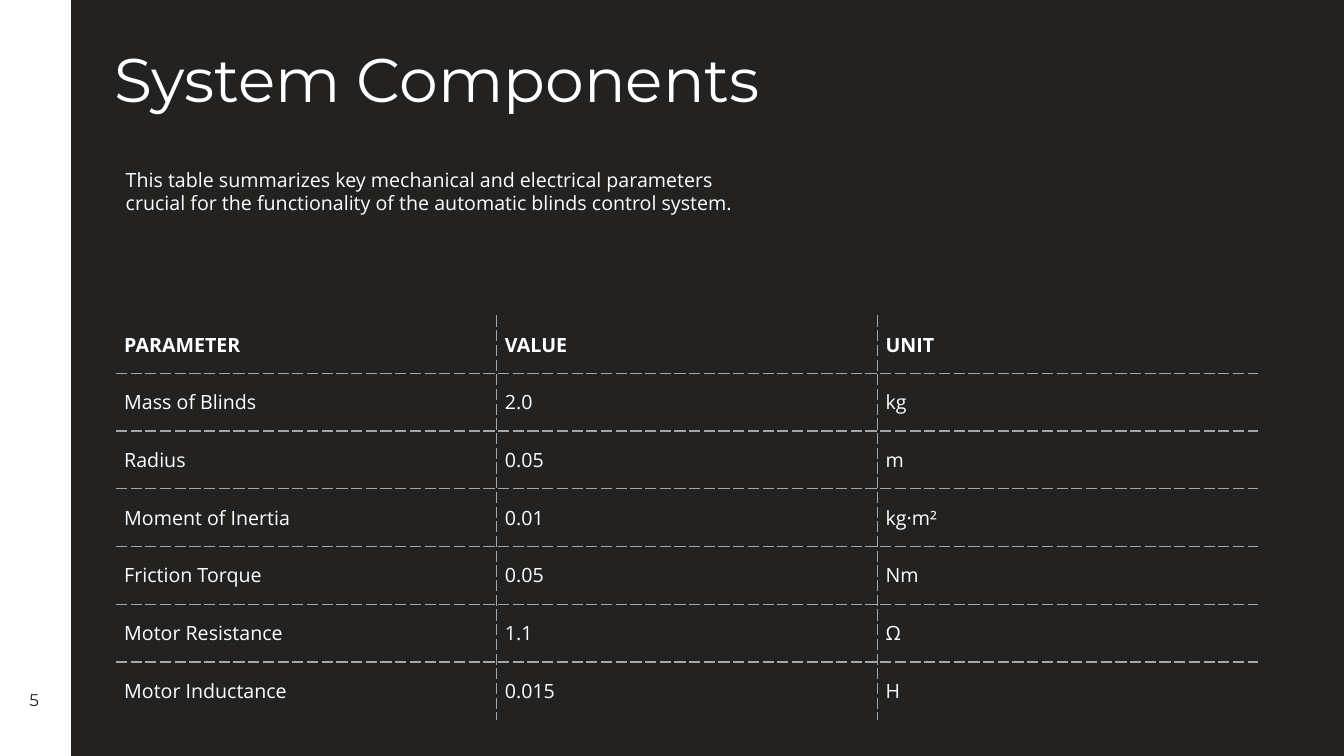
from lxml.etree import SubElement
from pptx import Presentation
from pptx.dml.color import RGBColor
from pptx.enum.shapes import MSO_CONNECTOR, MSO_SHAPE
from pptx.enum.text import MSO_ANCHOR, MSO_AUTO_SIZE, PP_ALIGN
from pptx.oxml import parse_xml
from pptx.oxml.ns import nsdecls, qn
from pptx.util import Cm, Pt

COLORS = {"background": "232220", "white": "FFFFFF", "border": "A6A6A6"}
PARAMETERS = [
    ("PARAMETER", "VALUE", "UNIT"),
    ("Mass of Blinds", "2.0", "kg"),
    ("Radius", "0.05", "m"),
    ("Moment of Inertia", "0.01", "kg·m²"),
    ("Friction Torque", "0.05", "Nm"),
    ("Motor Resistance", "1.1", "Ω"),
    ("Motor Inductance", "0.015", "H"),
]


def write(text_frame, text, size, font_name, color="white", bold=False, align=PP_ALIGN.LEFT):
    paragraph = text_frame.paragraphs[0]
    paragraph.alignment = align
    run = paragraph.add_run()
    run.text = text
    run.font.size = Pt(size)
    run.font.name = font_name
    run.font.bold = bold
    run.font.color.rgb = RGBColor.from_string(COLORS[color])


def add_borders(cell, visible_sides):
    properties = cell._tc.get_or_add_tcPr()
    for position, side in enumerate("LRTB"):
        if side in visible_sides:
            content = (f'<a:solidFill><a:srgbClr val="{COLORS["border"]}"/></a:solidFill>'
                       '<a:prstDash val="sysDash"/>')
        else:
            content = "<a:noFill/>"
        border = parse_xml(f'<a:ln{side} {nsdecls("a")} w="{Pt(1)}">{content}</a:ln{side}>')
        properties.insert(position, border)


presentation = Presentation()
presentation.slide_width = Cm(33.87)
presentation.slide_height = Cm(19.05)
slide = presentation.slides.add_slide(presentation.slide_layouts[5])
slide.background.fill.solid()
slide.background.fill.fore_color.rgb = RGBColor.from_string(COLORS["background"])

side_band = slide.shapes.add_shape(MSO_SHAPE.RECTANGLE, 0, 0, Cm(1.76), Cm(19.05))
side_band.shadow.inherit = False
side_band.fill.solid()
side_band.fill.fore_color.rgb = RGBColor.from_string(COLORS["white"])
side_band.line.fill.background()

band_edge = slide.shapes.add_connector(MSO_CONNECTOR.STRAIGHT, Cm(1.76), 0, Cm(1.76), Cm(19.05))
band_edge.line.color.rgb = RGBColor.from_string(COLORS["white"])
band_edge.line.width = Pt(1.5)
SubElement(band_edge._element.spPr, qn("a:effectLst"))

title = slide.shapes.title
title.left, title.top, title.width, title.height = Cm(2.62), Cm(0.84), Cm(28.6), Cm(2.36)
title.text_frame.auto_size = MSO_AUTO_SIZE.NONE
title.text_frame.vertical_anchor = MSO_ANCHOR.TOP
title.text_frame.margin_top = Cm(0.2)
write(title.text_frame, "System Components", 44, "Montserrat")

description = slide.shapes.add_textbox(Cm(2.92), Cm(3.73), Cm(16.76), Cm(2.18))
description.text_frame.word_wrap = True
description.text_frame.vertical_anchor = MSO_ANCHOR.MIDDLE
write(description.text_frame,
      "This table summarizes key mechanical and electrical parameters crucial for "
      "the functionality of the automatic blinds control system.", 14, "Open Sans")

page_number = slide.shapes.add_textbox(0, Cm(17.15), Cm(1.73), Cm(0.99))
page_number.text_frame.word_wrap = True
page_number.text_frame.vertical_anchor = MSO_ANCHOR.MIDDLE
write(page_number.text_frame, "5", 12.1, "Montserrat", "background", align=PP_ALIGN.CENTER)

row_count, column_count = len(PARAMETERS), len(PARAMETERS[0])
table = slide.shapes.add_table(
    row_count, column_count, Cm(2.92), Cm(7.95), Cm(28.78), Cm(10.19)).table
table.first_row = False
table.horz_banding = False

for row_index, row in enumerate(PARAMETERS):
    for column_index, text in enumerate(row):
        cell = table.cell(row_index, column_index)
        cell.fill.background()
        cell.vertical_anchor = MSO_ANCHOR.MIDDLE
        cell.margin_left = cell.margin_right = Cm(0.21)
        cell.margin_top = cell.margin_bottom = Cm(0.21)
        write(cell.text_frame, text, 14, "Open Sans", bold=row_index == 0)
        inner_sides = {
            "L": column_index > 0,
            "R": column_index < column_count - 1,
            "T": row_index > 0,
            "B": row_index < row_count - 1,
        }
        add_borders(cell, [side for side, inner in inner_sides.items() if inner])

presentation.save("out.pptx")
